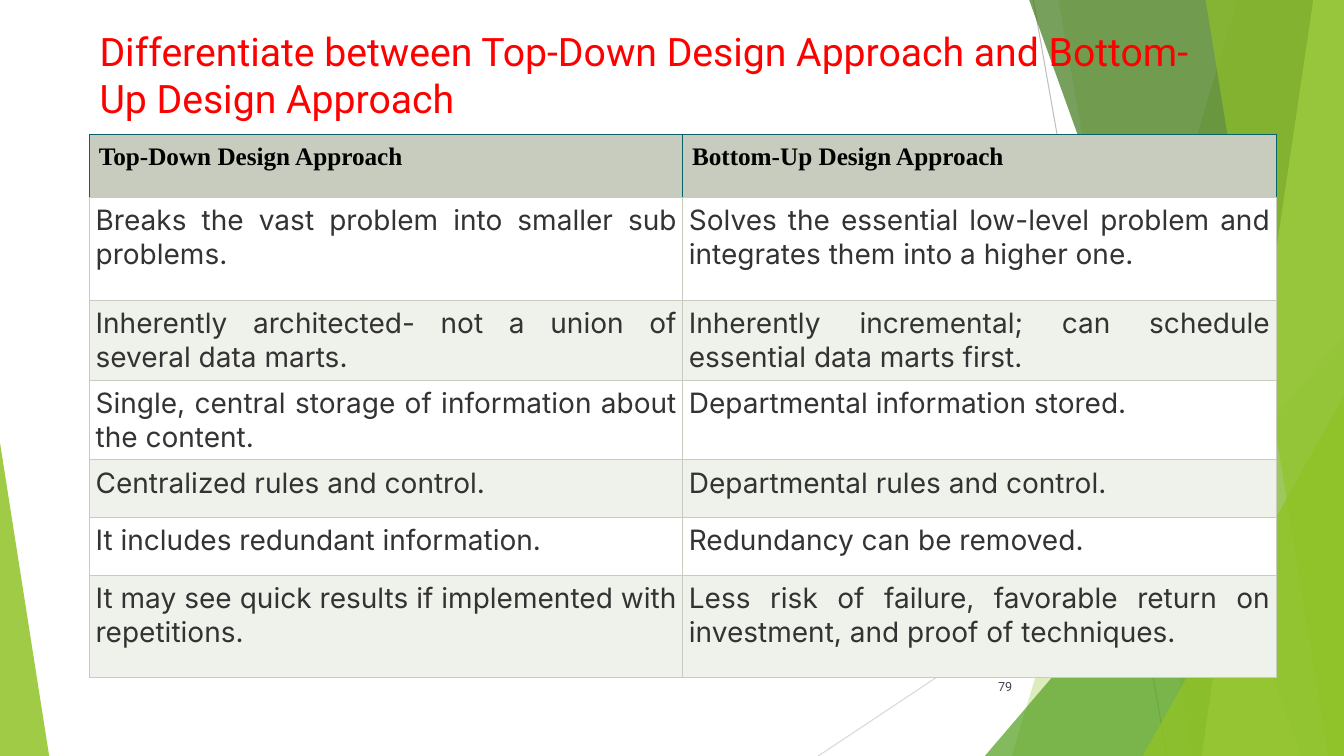
from lxml import etree
from pptx import Presentation
from pptx.dml.color import RGBColor
from pptx.enum.shapes import MSO_CONNECTOR as Connector, MSO_SHAPE as Shape
from pptx.enum.text import MSO_ANCHOR as Anchor, PP_ALIGN as Align
from pptx.oxml.ns import qn
from pptx.util import Cm, Pt

WIDTH, HEIGHT = 33.87, 19.05
GREEN, HEADER_GREY, TEAL = "90C226", "C7CCBE", "086366"
BAND_FILLS = ("FFFFFF", "EFF1EB")

COMPARISON = [
    ("Top-Down Design Approach", "Bottom-Up Design Approach"),
    ("Breaks the vast problem into smaller sub problems.",
     "Solves the essential low-level problem and integrates them into a higher one."),
    ("Inherently architected- not a union of several data marts.",
     "Inherently incremental; can schedule essential data marts first."),
    ("Single, central storage of information about the content.",
     "Departmental information stored."),
    ("Centralized rules and control.", "Departmental rules and control."),
    ("It includes redundant information.", "Redundancy can be removed."),
    ("It may see quick results if implemented with repetitions.",
     "Less risk of failure, favorable return on investment, and proof of techniques."),
]
ROW_HEIGHTS = (1.6, 2.59, 2.01, 2.01, 1.45, 1.45, 2.59)


def color(hex_code):
    return RGBColor.from_string(hex_code)


class ComparisonSlide:
    def __init__(self, deck):
        self.slide = deck.slides.add_slide(deck.slide_layouts[6])
        self.shapes = self.slide.shapes

    def line(self, start, end, hex_code):
        points = [Cm(value) for value in (*start, *end)]
        line = self.shapes.add_connector(Connector.STRAIGHT, *points)
        line.line.color.rgb = color(hex_code)
        line.line.width = Pt(0.75)
        etree.SubElement(line._element.spPr, qn("a:effectLst"))

    def paint(self, shape, hex_code, opacity):
        """Give a borderless fill with an opacity in percent."""
        shape.shadow.inherit = False
        shape.line.fill.background()
        shape.fill.solid()
        shape.fill.fore_color.rgb = color(hex_code)
        tint = shape._element.spPr.find(qn("a:solidFill"))[0]
        etree.SubElement(tint, qn("a:alpha"), val=str(opacity * 1000))

    def facet(self, top_x, bottom_x, hex_code, opacity):
        """Draw a full-height panel from a slanted left edge to the slide's right edge."""
        top = Cm(-0.02)
        outline = self.shapes.build_freeform(Cm(top_x), top)
        outline.add_line_segments([(Cm(WIDTH), top), (Cm(WIDTH), Cm(HEIGHT)),
                                   (Cm(bottom_x), Cm(HEIGHT))], close=True)
        self.paint(outline.convert_to_shape(), hex_code, opacity)

    def corner(self, left, top, width, apex, hex_code, opacity):
        """Draw a triangle that stands on the bottom edge of the slide."""
        corner = self.shapes.add_shape(Shape.ISOSCELES_TRIANGLE, Cm(left), Cm(top),
                                       Cm(width), Cm(HEIGHT - top))
        corner.adjustments[0] = apex
        self.paint(corner, hex_code, opacity)

    def add_words(self, frame, words, size, font, hex_code, align=Align.LEFT, bold=False):
        paragraph = frame.paragraphs[0]
        paragraph.alignment = align
        run = paragraph.add_run()
        run.text = words
        run.font.size = Pt(size)
        run.font.name = font
        run.font.bold = bold
        run.font.color.rgb = color(hex_code)

    def text(self, box, words, size, hex_code, align=Align.LEFT, anchor=Anchor.TOP):
        frame = self.shapes.add_textbox(*map(Cm, box)).text_frame
        frame.word_wrap = True
        frame.vertical_anchor = anchor
        self.add_words(frame, words, size, "Roboto", hex_code, align)

    def borders(self, cell, side_color):
        """Outline a cell; its bottom edge is always grey."""
        properties = cell._tc.get_or_add_tcPr()
        for side in "LRTB":
            edge = etree.SubElement(properties, qn(f"a:ln{side}"), w=str(Pt(0.75)))
            fill = etree.SubElement(edge, qn("a:solidFill"))
            etree.SubElement(fill, qn("a:srgbClr"),
                             val=HEADER_GREY if side == "B" else side_color)

    def cell(self, cell, words, is_header, fill):
        inset = Cm(0.23 if is_header else 0.15)
        cell.margin_left = cell.margin_right = inset
        cell.margin_top = cell.margin_bottom = inset
        self.borders(cell, TEAL if is_header else HEADER_GREY)
        cell.fill.solid()
        cell.fill.fore_color.rgb = color(fill)
        if is_header:
            self.add_words(cell.text_frame, words, 18, "Times New Roman", "000000", bold=True)
        else:
            self.add_words(cell.text_frame, words, 20, "Inter", "333333", Align.JUSTIFY)

    def table(self, left, top, column_width, rows, heights):
        columns = len(rows[0])
        table = self.shapes.add_table(len(rows), columns, Cm(left), Cm(top),
                                      Cm(column_width * columns), Cm(sum(heights))).table
        table.first_row = table.horz_banding = False
        for column in table.columns:
            column.width = Cm(column_width)
        for r, (entries, height) in enumerate(zip(rows, heights)):
            table.rows[r].height = Cm(height)
            fill = BAND_FILLS[(r - 1) % 2] if r else HEADER_GREY
            for c, words in enumerate(entries):
                self.cell(table.cell(r, c), words, r == 0, fill)


def main():
    deck = Presentation()
    deck.slide_width, deck.slide_height = Cm(WIDTH), Cm(HEIGHT)
    page = ComparisonSlide(deck)

    page.line((26.04, 0), (29.41, HEIGHT), "BFBFBF")
    page.line((WIDTH, 10.24), (20.62, HEIGHT), "D9D9D9")
    page.facet(31.19, 25.5, GREEN, 30)
    page.facet(26.67, 30.05, GREEN, 20)
    page.corner(24.82, 8.46, 9.05, 1, "54A021", 72)
    page.facet(25.93, 32.79, "3F7819", 70)
    page.facet(33.1, 30.28, "C0E474", 70)
    page.facet(30.38, 33.48, GREEN, 65)
    page.corner(28.8, 9.98, 5.07, 1, GREEN, 80)
    page.corner(0, 11.15, 1.24, 0, GREEN, 85)

    page.text((2.26, 0.56, 28.73, 3.66),
              "Differentiate between Top-Down Design Approach and Bottom-Up Design Approach",
              28, "FF0000")
    page.text((23.85, 16.79, 1.91, 1.02), "79", 9, "464653", Align.RIGHT, Anchor.MIDDLE)
    page.table(2.26, 3.38, 14.95, COMPARISON, ROW_HEIGHTS)

    deck.save("out.pptx")


if __name__ == "__main__":
    main()
